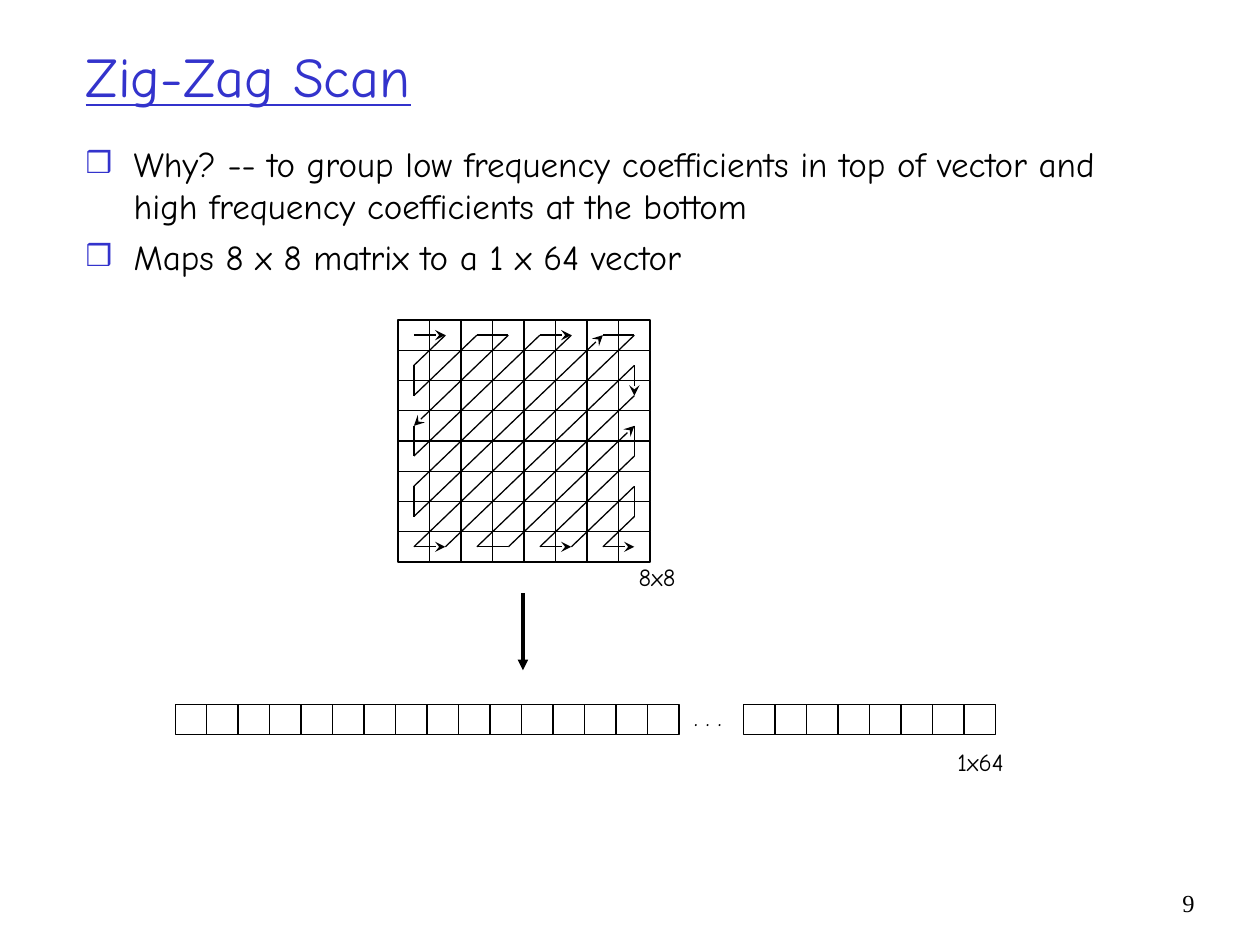
from itertools import pairwise

from lxml import etree
from pptx import Presentation
from pptx.dml.color import RGBColor
from pptx.enum.shapes import MSO_CONNECTOR, MSO_SHAPE
from pptx.enum.text import MSO_ANCHOR, MSO_AUTO_SIZE, PP_ALIGN
from pptx.oxml.ns import qn
from pptx.util import Inches, Pt

# Content
TITLE = "Zig-Zag Scan"
POINTS = [
    "Why? -- to group low frequency coefficients in top of vector and "
    "high frequency coefficients at the bottom",
    "Maps 8 x 8 matrix to a 1 x 64 vector",
]
LABELS = [  # text, left, top, width, height
    ("8x8", 4.97, 4.41, 0.49, 0.34),
    (". . .", 5.41, 5.52, 0.42, 0.34),
    ("1x64", 7.5, 5.88, 0.57, 0.34),
]
PAGE_NUMBER = "9"

# Geometry, in inches
SIDE = 8
CELL_W, CELL_H = 0.25, 0.24
MATRIX_LEFT, MATRIX_TOP = 3.16, 2.54
VECTOR_TOP = 5.59
VECTOR_PARTS = [(1.39, 16), (5.9, 8)]  # left, number of cells
ARROW_STEPS = {0, 5, 8, 11, 14, 16, 19, 22, 26}

THEME = {
    "ink": RGBColor(0x00, 0x00, 0x00),
    "accent": RGBColor(0x33, 0x33, 0xCC),
    "font": "Comic Neue",
    "number_font": "Times New Roman",
    "title": Pt(32),
    "body": Pt(20),
    "label": Pt(14),
    "thin": Pt(0.75),
    "thick": Pt(2),
}

prs = Presentation()
prs.slide_width, prs.slide_height = Inches(10), Inches(7.5)
slide = prs.slides.add_slide(prs.slide_layouts[1])


def place(box, left, top, width, height):
    box.left, box.top = Inches(left), Inches(top)
    box.width, box.height = Inches(width), Inches(height)


def style(paragraph, size, color=THEME["ink"], font=THEME["font"]):
    for run in paragraph.runs:
        run.font.size = size
        run.font.name = font
        run.font.color.rgb = color


def add_bullet(paragraph):
    props = paragraph._p.get_or_add_pPr()
    props.set("marL", str(Inches(0.38)))
    props.set("indent", str(-Inches(0.38)))
    color = etree.SubElement(props, qn("a:buClr"))
    etree.SubElement(color, qn("a:srgbClr"), val=str(THEME["accent"]))
    etree.SubElement(props, qn("a:buSzPct"), val="85000")
    etree.SubElement(props, qn("a:buChar"), char="❒")


def add_cell(left, top):
    cell = slide.shapes.add_shape(
        MSO_SHAPE.RECTANGLE, Inches(left), Inches(top), Inches(CELL_W), Inches(CELL_H))
    cell.shadow.inherit = False
    cell.fill.background()
    cell.line.color.rgb = THEME["ink"]
    cell.line.width = THEME["thin"]


def add_line(start, end, width, arrowhead=None):
    line = slide.shapes.add_connector(
        MSO_CONNECTOR.STRAIGHT, *(Inches(value) for value in (*start, *end)))
    line.line.color.rgb = THEME["ink"]
    line.line.width = width
    if arrowhead:
        etree.SubElement(line.line._get_or_add_ln(), qn("a:tailEnd"), type=arrowhead)
    etree.SubElement(line._element.spPr, qn("a:effectLst"))


def add_label(text, left, top, width, height):
    label = slide.shapes.add_textbox(
        Inches(left), Inches(top), Inches(width), Inches(height))
    label.text_frame.text = text
    label.text_frame.word_wrap = False
    style(label.text_frame.paragraphs[0], THEME["label"])
    return label


def zigzag_turns():
    """Turning points (column, row) along the antidiagonals."""
    turns = []
    for diagonal in range(2 * SIDE - 1):
        low, high = max(0, diagonal - SIDE + 1), min(diagonal, SIDE - 1)
        ends = [(low, high), (high, low)]
        if diagonal % 2:
            ends.reverse()
        turns += ends if low != high else ends[:1]
    return turns


def cell_center(column, row):
    return (MATRIX_LEFT + (column + 0.5) * CELL_W, MATRIX_TOP + (row + 0.5) * CELL_H)


# Title
title = slide.shapes.title
place(title, 0.58, 0.25, 8.5, 0.7)
title.text_frame.text = TITLE
title.text_frame.auto_size = MSO_AUTO_SIZE.NONE
title.text_frame.vertical_anchor = MSO_ANCHOR.MIDDLE
heading = title.text_frame.paragraphs[0]
heading.alignment = PP_ALIGN.LEFT
style(heading, THEME["title"], THEME["accent"])
heading.runs[0].font.underline = True

# Bulleted points
body = slide.placeholders[1]
place(body, 0.58, 1.08, 8.71, 1.31)
frame = body.text_frame
frame.text = "\n".join(POINTS)
frame.auto_size = MSO_AUTO_SIZE.NONE
for index, point in enumerate(frame.paragraphs):
    add_bullet(point)
    point.space_before = Pt(5 if index else 0)
    style(point, THEME["body"])

# Matrix
for row in range(SIDE):
    for column in range(SIDE):
        add_cell(MATRIX_LEFT + column * CELL_W, MATRIX_TOP + row * CELL_H)

# Zig-zag path through the matrix
for step, (start, end) in enumerate(pairwise(zigzag_turns())):
    add_line(cell_center(*start), cell_center(*end), THEME["thin"],
             "stealth" if step in ARROW_STEPS else None)

# Arrow down to the vector
add_line((4.15, 4.71), (4.15, 5.32), THEME["thick"], "triangle")

# Vector
for left, count in VECTOR_PARTS:
    for index in range(count):
        add_cell(left + index * CELL_W, VECTOR_TOP)

# Labels and page number
for label in LABELS:
    add_label(*label)
number = add_label(PAGE_NUMBER, 9.08, 7, 0.5, 0.5).text_frame
number.word_wrap = True
number.paragraphs[0].alignment = PP_ALIGN.RIGHT
style(number.paragraphs[0], THEME["label"], font=THEME["number_font"])

prs.save("out.pptx")
